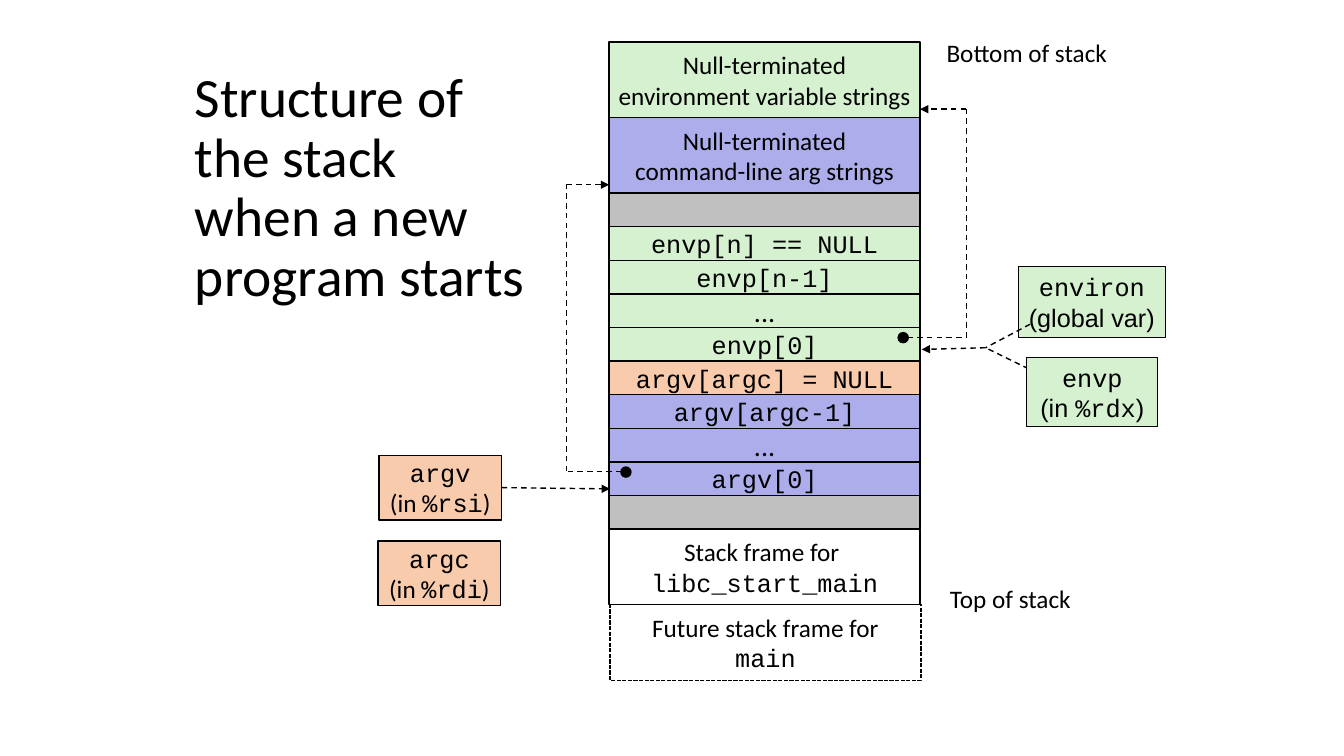
import pptx
import pptx.dml.color
import pptx.enum.dml
import pptx.enum.shapes
import pptx.enum.text
import pptx.oxml.ns
import pptx.util
from lxml import etree

UNITS_PER_INCH = 12
STACK_LEFT, STACK_TOP, STACK_WIDTH = 72.5, 5, 37
ROW, FRAME = 4, 9
GREEN, BLUE, ORANGE, GRAY, BLACK = "D5F1CF", "ADADEB", "F8CBAD", "C0C0C0", "000000"
BODY, CODE = "Calibri", "Courier New"
DASH = pptx.enum.dml.MSO_LINE.DASH
FINE_DASH = pptx.enum.dml.MSO_LINE.SQUARE_DOT
SHAPE = pptx.enum.shapes.MSO_SHAPE

STACK = [
    (FRAME, GREEN, ["Null-terminated", "environment variable strings"]),
    (FRAME, BLUE, ["Null-terminated", "command-line arg strings"]),
    (ROW, GRAY, []),
    (ROW, GREEN, ["`envp[n] == NULL`"]),
    (ROW, GREEN, ["`envp[n-1]`"]),
    (ROW, GREEN, ["..."]),
    (ROW, GREEN, ["`envp[0]`"]),
    (ROW, ORANGE, ["`argv[argc] = NULL`"]),
    (ROW, BLUE, ["`argv[argc-1]`"]),
    (ROW, BLUE, ["..."]),
    (ROW, BLUE, ["`argv[0]`"]),
    (ROW, GRAY, []),
    (FRAME, None, ["Stack frame for ", "`libc_start_main`"]),
]


def grid(*units):
    return [pptx.util.Inches(u / UNITS_PER_INCH) for u in units]


def color(hex_text):
    return pptx.dml.color.RGBColor.from_string(hex_text)


def style_font(font, size, name):
    font.size = pptx.util.Pt(size)
    font.name = name
    font.color.rgb = color(BLACK)


def style_line(line, dash=None):
    line.color.rgb = color(BLACK)
    line.width = pptx.util.Pt(1)
    if dash:
        line.dash_style = dash


def write_lines(sp, lines, body=BODY):
    tf = sp.text_frame
    tf.word_wrap = False
    tf.vertical_anchor = pptx.enum.text.MSO_ANCHOR.MIDDLE
    for i, line in enumerate(lines):
        p = tf.add_paragraph() if i else tf.paragraphs[0]
        p.alignment = pptx.enum.text.PP_ALIGN.CENTER
        for j, part in enumerate(line.split("`")):
            if part:
                r = p.add_run()
                r.text = part
                style_font(r.font, 20 if part == "..." else 18, CODE if j % 2 else body)


def add_box(slide, at, fill, lines=(), body=BODY, dash=None, kind=SHAPE.RECTANGLE):
    sp = slide.shapes.add_shape(kind, *grid(*at))
    sp.shadow.inherit = False
    if fill:
        sp.fill.solid()
        sp.fill.fore_color.rgb = color(fill)
    else:
        sp.fill.background()
    style_line(sp.line, dash)
    write_lines(sp, lines, body)
    return sp


def add_label(slide, at, text):
    write_lines(slide.shapes.add_textbox(*grid(*at)), [text])


def add_dot(slide, x, y, size=1.2):
    add_box(slide, (x - size / 2, y - size / 2, size, size), BLACK, kind=SHAPE.OVAL)


def add_route(slide, points, arrow=True, source=None):
    for i, (start, end) in enumerate(zip(points, points[1:])):
        line = slide.shapes.add_connector(
            pptx.enum.shapes.MSO_CONNECTOR.STRAIGHT, *grid(*start, *end))
        style_line(line.line, DASH)
        if source and i == 0:
            line.begin_connect(source, 3)
        if arrow and i == len(points) - 2:
            tail = etree.SubElement(line.get_or_add_ln(), pptx.oxml.ns.qn("a:tailEnd"))
            tail.set("type", "triangle")
        etree.SubElement(line._element.spPr, pptx.oxml.ns.qn("a:effectLst"))


def add_title(slide, at, text):
    sp = slide.shapes.title
    sp.left, sp.top, sp.width, sp.height = grid(*at)
    tf = sp.text_frame
    tf.text = text
    tf.word_wrap = True
    tf.auto_size = pptx.enum.text.MSO_AUTO_SIZE.NONE
    tf.vertical_anchor = pptx.enum.text.MSO_ANCHOR.MIDDLE
    p = tf.paragraphs[0]
    p.alignment = pptx.enum.text.PP_ALIGN.LEFT
    p.line_spacing = 0.9
    for r in p.runs:
        style_font(r.font, 39.6, BODY)


def add_stack(slide):
    top = STACK_TOP
    for height, fill, lines in STACK:
        add_box(slide, (STACK_LEFT, top, STACK_WIDTH, height), fill, lines)
        top += height
    add_box(slide, (STACK_LEFT + 0.1, top, STACK_WIDTH, FRAME), None,
            ["Future stack frame for", "`main`"], dash=FINE_DASH)


def main():
    prs = pptx.Presentation()
    prs.slide_width = pptx.util.Inches(13.33)
    prs.slide_height = pptx.util.Inches(7.5)
    slide = prs.slides.add_slide(prs.slide_layouts[5])

    add_title(slide, (22, 10, 42.8, 25),
              "Structure of \vthe stack when a new program starts")
    add_stack(slide)
    add_label(slide, (111.2, 3.8, 22, 4.8), "Bottom of stack")
    add_label(slide, (111.6, 68.9, 17.3, 4.8), "Top of stack")

    add_box(slide, (121.2, 31.7, 17.5, 8.5), GREEN, ["`environ`", "(global var)"], "Arial")
    argv = add_box(slide, (45.1, 54.2, 14.6, 7.7), ORANGE, ["`argv`", "(in `%rsi`)"])
    add_box(slide, (45, 64.4, 14.6, 7.7), ORANGE, ["`argc`", "(in `%rdi`)"])

    stack_right = STACK_LEFT + STACK_WIDTH
    fork = (117.3, 41.4)
    add_route(slide, [(59.7, 58.05), (STACK_LEFT + 0.1, 58.2)], source=argv)
    add_route(slide, [(74, 56.1), (67.4, 56.1), (67.4, 22), (STACK_LEFT, 22)])
    add_route(slide, [(108, 40.2), (115, 40.2), (115, 13), (stack_right, 13)])
    add_route(slide, [(122.6, 38.6), fork], arrow=False)
    add_route(slide, [(122.4, 43.9), fork], arrow=False)
    add_route(slide, [fork, (stack_right + 0.2, 41.6)])
    add_dot(slide, 74.5, 56.2)
    add_dot(slide, 107.5, 40.2)
    add_box(slide, (122.2, 42.6, 15.6, 8.2), GREEN, ["`envp`", "(in `%rdx`)"], "Arial")

    prs.save("out.pptx")


if __name__ == "__main__":
    main()
